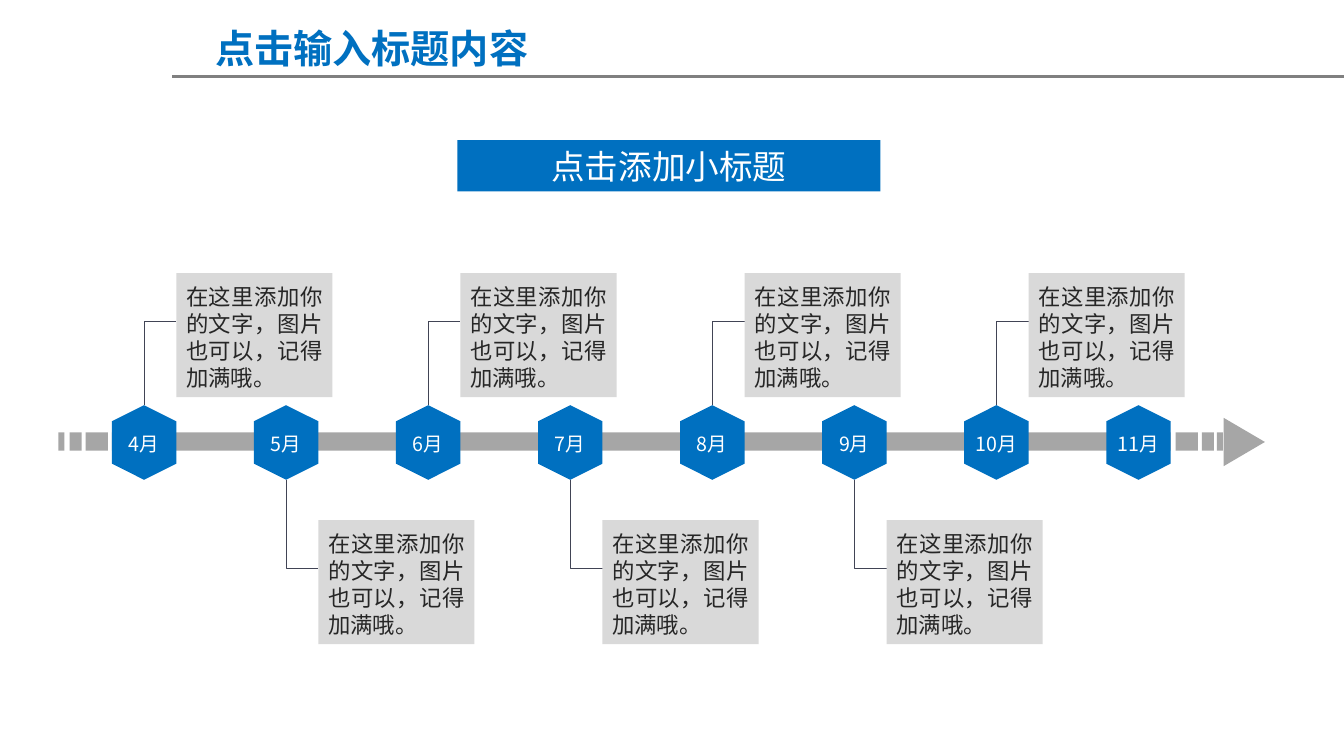
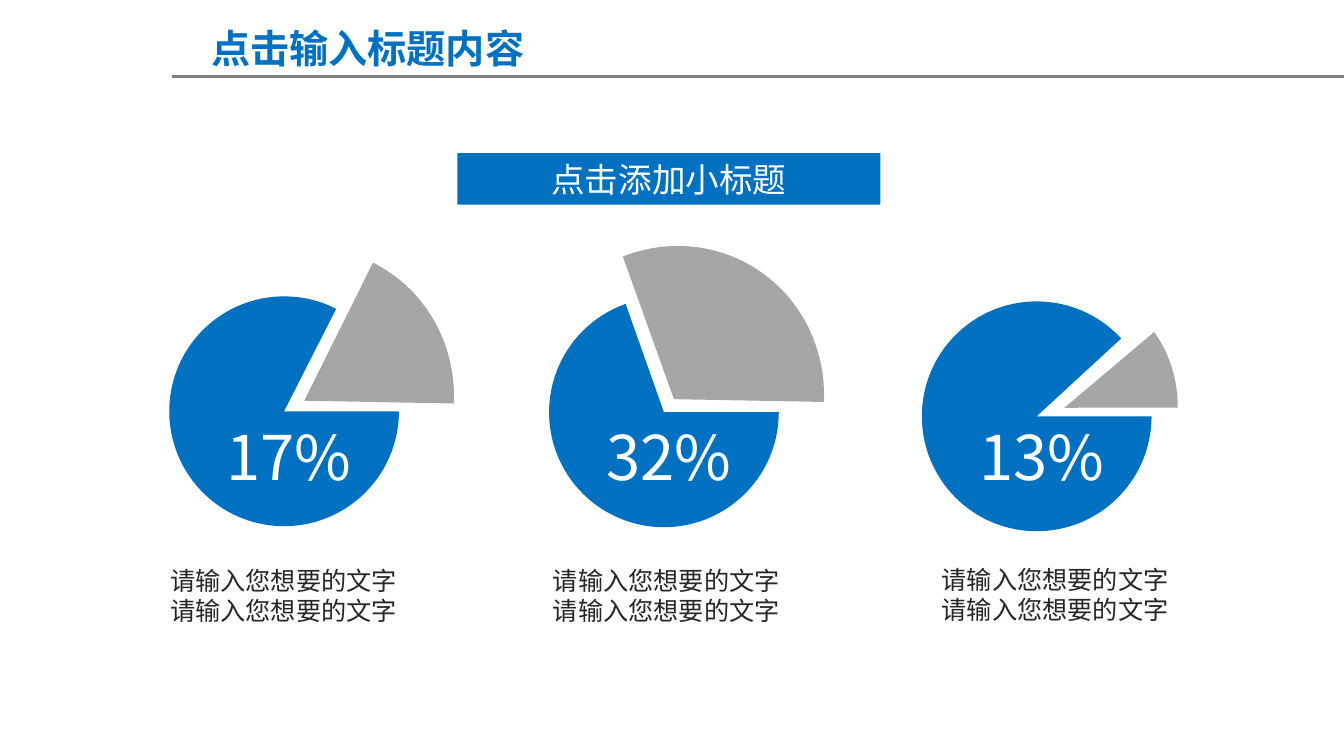
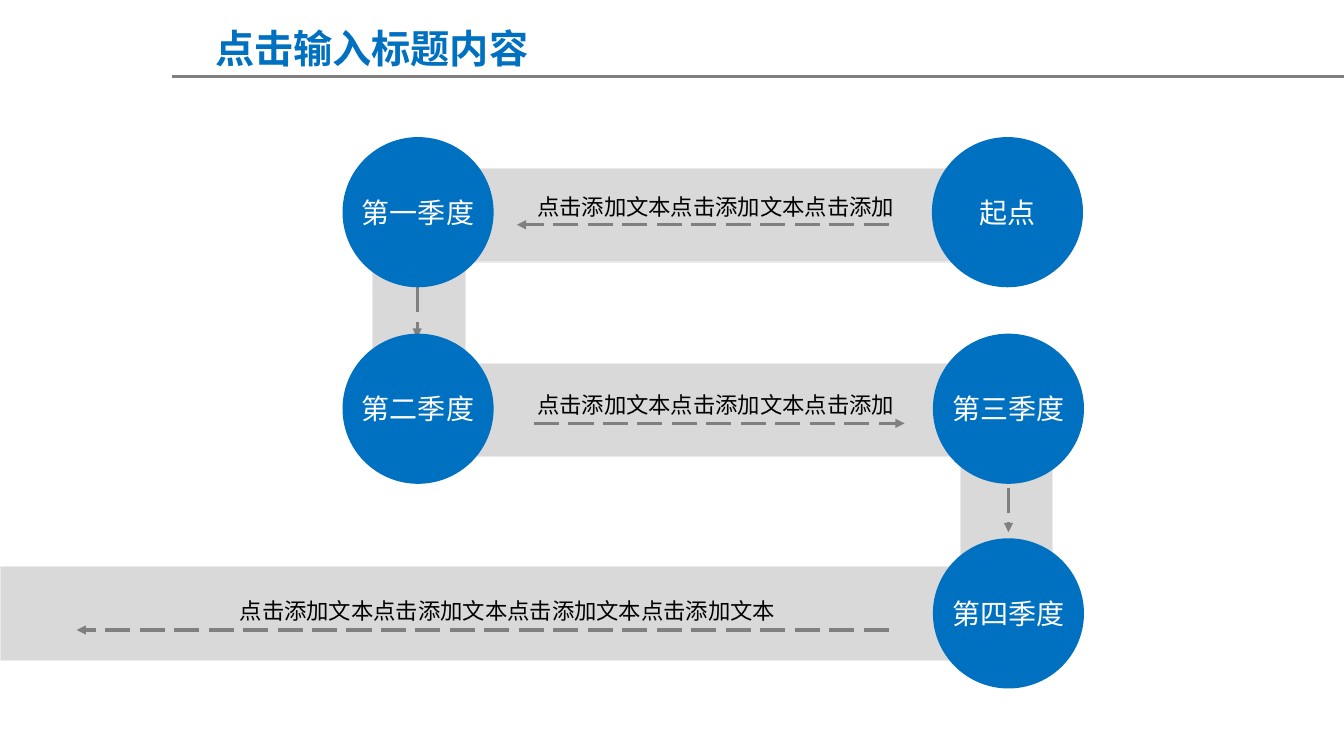
from dataclasses import dataclass
from typing import Any, NamedTuple, Optional

from lxml import etree
from pptx import Presentation
from pptx.dml.color import RGBColor
from pptx.enum.dml import MSO_LINE
from pptx.enum.shapes import MSO_CONNECTOR, MSO_SHAPE
from pptx.enum.text import MSO_ANCHOR, PP_ALIGN
from pptx.oxml.ns import qn
from pptx.util import Inches, Pt

RECT, OVAL, PIE = MSO_SHAPE.RECTANGLE, MSO_SHAPE.OVAL, MSO_SHAPE.PIE
HEXAGON, TRIANGLE = MSO_SHAPE.HEXAGON, MSO_SHAPE.ISOSCELES_TRIANGLE
STRAIGHT, ELBOW = MSO_CONNECTOR.STRAIGHT, MSO_CONNECTOR.ELBOW
LONG_DASH = MSO_LINE.LONG_DASH
LEFT, CENTER, JUSTIFY = PP_ALIGN.LEFT, PP_ALIGN.CENTER, PP_ALIGN.JUSTIFY
TOP, MIDDLE = MSO_ANCHOR.TOP, MSO_ANCHOR.MIDDLE


@dataclass(frozen=True)
class Theme:
    blue: str = "0070C0"
    rule: str = "808080"
    grey: str = "A6A6A6"
    panel: str = "D9D9D9"
    panel_edge: str = "EAEAEA"
    link: str = "414455"
    white: str = "FFFFFF"
    black: str = "000000"
    body: str = "262626"
    font: str = "Noto Sans CJK SC"
    latin: str = "Calibri"
    title_pt: int = 28
    subtitle_pt: int = 24
    figure_pt: int = 44
    node_pt: int = 20
    caption_pt: int = 18
    text_pt: int = 16
    month_pt: int = 14


T = Theme()


@dataclass(frozen=True)
class Style:
    size: int
    color: str
    align: Any = LEFT
    anchor: Any = TOP
    bold: bool = False
    font: str = T.font
    spacing: Optional[float] = None
    wrap: bool = True


TITLE = Style(T.title_pt, T.blue, CENTER, bold=True)
SUBTITLE = Style(T.subtitle_pt, T.white, CENTER, MIDDLE)
MONTH = Style(T.month_pt, T.white, CENTER)
CARD = Style(T.text_pt, T.body, JUSTIFY)
FIGURE = Style(T.figure_pt, T.white)
CAPTION = Style(T.caption_pt, T.body)
NODE = Style(T.node_pt, T.white, CENTER, MIDDLE, font=T.latin, wrap=False)
ROUTE = Style(T.text_pt, T.black, CENTER, MIDDLE, spacing=1.5)


class Box(NamedTuple):
    left: float
    top: float
    width: float
    height: float


class Slice(NamedTuple):
    box: Box
    start: float
    end: float
    rotation: float = 0


class PieFigure(NamedTuple):
    value: str
    body: Slice
    cutout: Slice
    value_left: float
    caption: Box


class Leg(NamedTuple):
    band: Box
    start: tuple[float, float]
    end: tuple[float, float]


def assign(target: Any, values: dict[str, Any]) -> None:
    for name, value in values.items():
        setattr(target, name, value)


def rgb(color: str) -> RGBColor:
    return RGBColor.from_string(color)


def write(shape: Any, text: str, style: Style, margin_top: float = 0.05) -> None:
    """Fill a shape with text, one paragraph a line."""
    tf = shape.text_frame
    assign(tf, {"word_wrap": style.wrap, "vertical_anchor": style.anchor,
                "margin_left": Inches(0.1), "margin_right": Inches(0.1),
                "margin_top": Inches(margin_top), "margin_bottom": Inches(0.05)})
    for i, line in enumerate(text.split("\n")):
        p = tf.paragraphs[0] if i == 0 else tf.add_paragraph()
        assign(p, {"alignment": style.align, "line_spacing": style.spacing})
        r = p.add_run()
        r.text = line
        assign(r.font, {"size": Pt(style.size), "bold": style.bold, "name": style.font})
        r.font.color.rgb = rgb(style.color)
        ea = etree.SubElement(r.font._element, qn("a:ea"))
        ea.set("typeface", T.font)


def add_text(s: Any, box: Box, text: str, style: Style) -> None:
    write(s.shapes.add_textbox(*map(Inches, box)), text, style)


def add_shape(s: Any, kind: Any, box: Box, fill: str,
              edge: Optional[str] = None, rotation: float = 0) -> Any:
    sp = s.shapes.add_shape(kind, *map(Inches, box))
    sp.shadow.inherit = False
    sp.rotation = rotation
    sp.fill.solid()
    sp.fill.fore_color.rgb = rgb(fill)
    if edge:
        sp.line.color.rgb = rgb(edge)
        sp.line.width = Pt(0.75)
    else:
        sp.line.fill.background()
    return sp


def add_line(s: Any, start: tuple[float, float], end: tuple[float, float],
             color: str, width: float, kind: Any = STRAIGHT) -> Any:
    line = s.shapes.add_connector(kind, *map(Inches, start + end))
    line.line.color.rgb = rgb(color)
    line.line.width = Pt(width)
    etree.SubElement(line._element.spPr, qn("a:effectLst"))
    return line


def add_dashed_arrow(s: Any, start: tuple[float, float], end: tuple[float, float]) -> None:
    line = add_line(s, start, end, T.rule, 2.25)
    line.line.dash_style = LONG_DASH
    ln = line._element.spPr.find(qn("a:ln"))
    etree.SubElement(ln, qn("a:tailEnd")).set("type", "triangle")


def add_corner_link(s: Any, x: float, y: float, card_x: float, card_y: float) -> None:
    """Join a month at (x, y) to the side of its card with one right angle."""
    up = card_y < y
    mid_x, mid_y = (x + card_x) / 2, (y + card_y) / 2
    half_run, half_rise = abs(card_y - y) / 2, (card_x - x) / 2
    if not up:
        half_rise = -half_rise
    link = add_line(s, (mid_x + half_run, mid_y + half_rise),
                    (mid_x - half_run, mid_y - half_rise), T.link, 0.75, ELBOW)
    spPr = link._element.spPr
    spPr.find(qn("a:xfrm")).set("rot", str((90 if up else 270) * 60000))
    spPr.find(qn("a:prstGeom")).set("prst", "bentConnector2")


def new_slide(prs: Any, title_left: float = 1.89) -> Any:
    s = prs.slides.add_slide(prs.slide_layouts[6])
    add_line(s, (1.71, 0.76), (13.34, 0.76), T.rule, 2)
    add_text(s, Box(title_left, 0.19, 3.6, 0.57), "点击输入标题内容", TITLE)
    return s


def add_subtitle(s: Any, top: float) -> None:
    write(add_shape(s, RECT, Box(4.54, top, 4.2, 0.51), T.blue), "点击添加小标题", SUBTITLE)


def timeline_slide(prs: Any) -> None:
    s = new_slide(prs)
    add_subtitle(s, 1.39)
    segments = [(0.58, 0.06), (0.69, 0.12), (0.85, 0.22), (1.11, 10.51),
                (11.67, 0.22), (11.93, 0.12), (12.08, 0.06)]
    for left, width in segments:
        add_shape(s, RECT, Box(left, 4.29, width, 0.18), T.grey)
    add_shape(s, TRIANGLE, Box(12.11, 4.18, 0.48, 0.41), T.grey, rotation=90)

    first_month, last_month = 4, 11
    first_x, step, card_gap = 1.43, 1.41, 0.32
    for i, month in enumerate(range(first_month, last_month + 1)):
        x = first_x + i * step
        if month != last_month:
            above = i % 2 == 0
            card_top = 2.71 if above else 5.16
            card_x = x + card_gap
            add_corner_link(s, x, 4.02 if above else 4.76, card_x, card_top + 0.48)
            card = add_shape(s, RECT, Box(card_x, card_top, 1.55, 1.23), T.panel)
            write(card, "在这里添加你的文字，图片也可以，记得加满哦。", CARD, margin_top=0.1)
        add_shape(s, HEXAGON, Box(x - 0.37, 4.07, 0.74, 0.64), T.blue, rotation=90)
        add_text(s, Box(x - 0.4, 4.24, 0.8, 0.34), f"{month}月", MONTH)


def add_slice(s: Any, piece: Slice, color: str) -> None:
    sp = add_shape(s, PIE, piece.box, color, rotation=piece.rotation)
    for i, degrees in enumerate((piece.start, piece.end)):
        sp.adjustments[i] = degrees * 0.6


def pie_slide(prs: Any) -> None:
    s = new_slide(prs, title_left=1.85)
    add_subtitle(s, 1.52)
    size = 2.28
    figures = [
        PieFigure("17%", Slice(Box(1.68, 2.94, size, size), 0, 296.96),
                  Slice(Box(1.49, 2.5, 3.06, 2.95), 0, 64.56, 296.5),
                  2.15, Box(1.59, 5.56, 2.59, 0.71)),
        PieFigure("32%", Slice(Box(5.45, 2.95, size, size), 0, 250.53),
                  Slice(Box(5.16, 2.48, 3.06, 2.96), 313.78, 64.56, 296.5),
                  5.92, Box(5.39, 5.56, 2.57, 0.71)),
        PieFigure("13%", Slice(Box(9.15, 2.99, size, size), 0, 317.38),
                  Slice(Box(9.35, 2.92, 2.43, 2.25), 45.97, 86.04, 273.9),
                  9.62, Box(9.25, 5.55, 2.54, 0.71)),
    ]
    for fig in figures:
        add_slice(s, fig.body, T.blue)
        add_slice(s, fig.cutout, T.grey)
        add_text(s, Box(fig.value_left, 4.11, 1.7, 0.84), fig.value, FIGURE)
        add_text(s, fig.caption, "\n".join(["请输入您想要的文字"] * 2), CAPTION)


def route_slide(prs: Any) -> None:
    s = new_slide(prs)
    legs = [
        Leg(Box(0, 5.62, 10.45, 0.93), (8.82, 6.25), (0.76, 6.25)),
        Leg(Box(4.05, 3.61, 6.4, 0.92), (5.3, 4.2), (8.98, 4.2)),
        Leg(Box(9.53, 4.05, 0.92, 2.54), (10.01, 4.84), (10.01, 5.28)),
        Leg(Box(4.57, 1.67, 5.88, 0.93), (8.82, 2.23), (5.13, 2.23)),
        Leg(Box(3.7, 1.67, 0.92, 2.86), (4.14, 2.85), (4.14, 3.35)),
    ]
    for leg in legs:
        add_shape(s, RECT, leg.band, T.panel, T.panel_edge)
        add_dashed_arrow(s, leg.start, leg.end)

    nodes = [("起点", 9.25, 1.36), ("第一季度", 3.4, 1.36), ("第二季度", 3.4, 3.31),
             ("第三季度", 9.26, 3.31), ("第四季度", 9.26, 5.34)]
    for name, left, top in nodes:
        write(add_shape(s, OVAL, Box(left, top, 1.5, 1.49), T.blue), name, NODE)

    short, full = "点击添加文本点击添加文本点击添加", "点击添加文本" * 4
    for text, left, top, width in [(short, 5.16, 1.73, 3.89), (short, 5.16, 3.7, 3.89),
                                   (full, 1.27, 5.74, 7.54)]:
        add_text(s, Box(left, top, width, 0.5), text, ROUTE)


def main() -> None:
    prs = Presentation()
    assign(prs, {"slide_width": Inches(13.34), "slide_height": Inches(7.5)})
    for build in (timeline_slide, pie_slide, route_slide):
        build(prs)
    prs.save("out.pptx")


if __name__ == "__main__":
    main()
